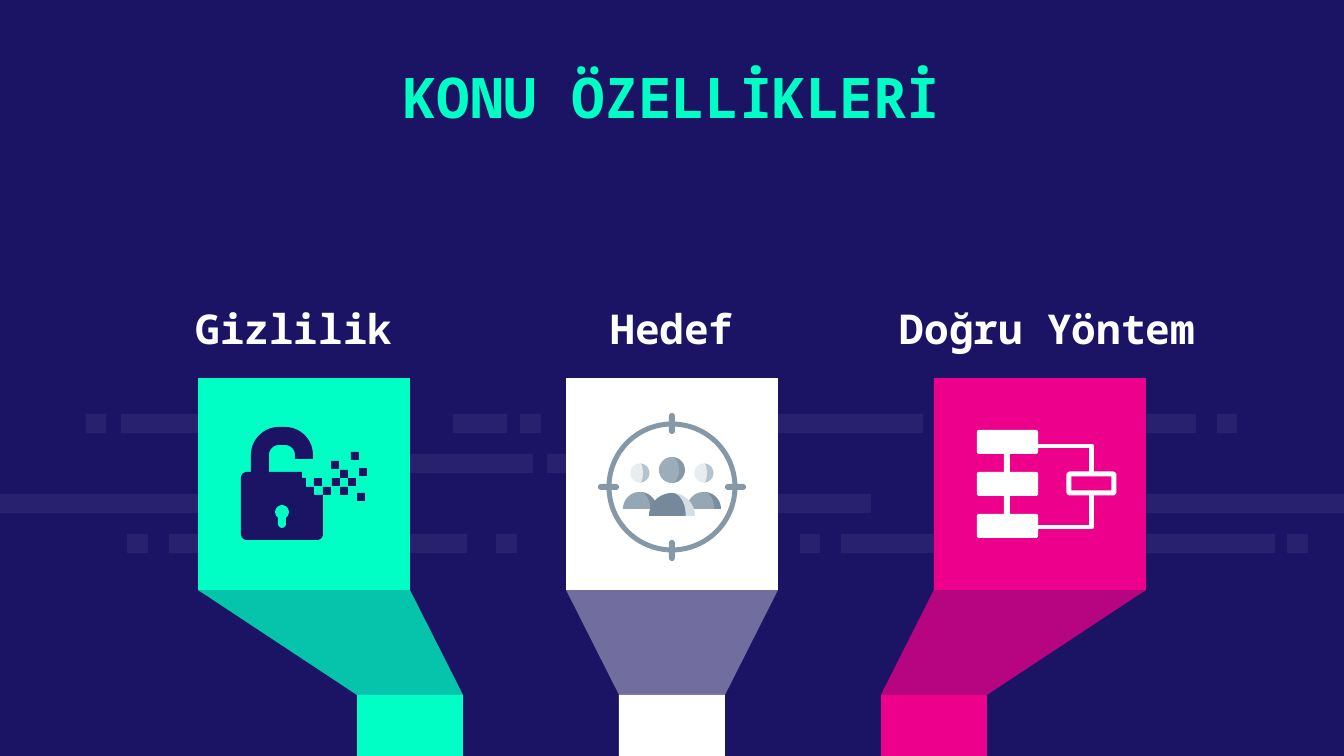
from math import cos, radians, sin

from lxml import etree
from pptx import Presentation
from pptx.dml.color import RGBColor
from pptx.enum.shapes import MSO_SHAPE
from pptx.enum.text import MSO_ANCHOR, PP_ALIGN
from pptx.oxml.ns import qn
from pptx.util import Pt

RECT, OVAL, ROUNDED = MSO_SHAPE.RECTANGLE, MSO_SHAPE.OVAL, MSO_SHAPE.ROUNDED_RECTANGLE
TOP, BOTTOM = MSO_ANCHOR.TOP, MSO_ANCHOR.BOTTOM
CENTER = PP_ALIGN.CENTER

EMU_PER_PX = 914400 / 134.4
FONT = "Noto Sans Mono"
NAVY, MINT, WHITE, PINK = "1B1464", "00FFC5", "FFFFFF", "EC008C"
STEEL = "8598A8"

# Top of each background lane, with the (left, right) ends of its dashes
LANES = {
    414: [(86, 106), (121, 317), (453, 507), (520, 541), (754, 923), (1027, 1196), (1217, 1237)],
    454: [(402, 533), (547, 601)],
    494: [(0, 199), (672, 871), (1145, 1344)],
    534: [(127, 148), (169, 467), (496, 517), (800, 820), (841, 1275), (1287, 1308)],
}
LANE_HEIGHT = 19

# Label, its left and width, column colour
COLUMNS = [
    ("Gizlilik", 142, 304, MINT),
    ("Hedef", 520, 304, WHITE),
    ("Doğru Yöntem", 874, 347, PINK),
]
CARD_LEFT, CARD_STEP, CARD_TOP, CARD_SIZE = 198, 368, 378, 212
FOOT_LEFT, FOOT_STEP, FOOT_TOP, FOOT_WIDTH = 357, 262, 695, 106
PAGE_WIDTH, PAGE_HEIGHT = 1344, 756

LOCK_PIXELS = [
    (323, 487), (332, 478), (340, 470), (331, 461), (314, 478),
    (340, 487), (357, 493), (348, 478), (359, 468), (351, 452),
]


def emu(px):
    return round(px * EMU_PER_PX)


def color(value):
    return RGBColor.from_string(value)


def paint(shape, fill=None, alpha=None, line=None, line_width=5):
    """Set fill (alpha in percent) and outline; None leaves either one out."""
    shape.shadow.inherit = False
    if fill:
        shape.fill.solid()
        shape.fill.fore_color.rgb = color(fill)
        if alpha:
            tint = shape.element.find(".//" + qn("a:srgbClr"))
            etree.SubElement(tint, qn("a:alpha"), val=str(alpha * 1000))
    else:
        shape.fill.background()
    if line:
        shape.line.color.rgb = color(line)
        shape.line.width = emu(line_width)
    else:
        shape.line.fill.background()


def add_preset(page, kind, left, top, width, height, radius=0, **style):
    shape = page.shapes.add_shape(kind, emu(left), emu(top), emu(width), emu(height))
    if kind == ROUNDED:
        shape.adjustments[0] = radius / min(width, height)
    paint(shape, **style)


def add_outline(page, points, closed=True, **style):
    start, *rest = [(emu(x), emu(y)) for x, y in points]
    builder = page.shapes.build_freeform(*start)
    builder.add_line_segments(rest, close=closed)
    paint(builder.convert_to_shape(), **style)


def arc(x, y, radius_x, radius_y, start, end, steps=16):
    """Points on an ellipse; degrees run clockwise from the right."""
    angles = [radians(start + (end - start) * i / steps) for i in range(steps + 1)]
    return [(x + radius_x * cos(a), y + radius_y * sin(a)) for a in angles]


def add_label(page, text, left, top, width, height, size, ink, anchor):
    box = page.shapes.add_textbox(emu(left), emu(top), emu(width), emu(height))
    frame = box.text_frame
    frame.text = text
    frame.word_wrap = True
    frame.vertical_anchor = anchor
    frame.margin_left = frame.margin_right = frame.margin_top = emu(13)
    frame.margin_bottom = 0 if anchor == BOTTOM else emu(13)
    para = frame.paragraphs[0]
    para.alignment = CENTER
    font = para.runs[0].font
    font.name, font.size, font.bold = FONT, Pt(size), True
    font.color.rgb = color(ink)


def add_lanes(page):
    for top, dashes in LANES.items():
        for left, right in dashes:
            add_preset(page, RECT, left, top, right - left, LANE_HEIGHT, fill=WHITE, alpha=6)


def add_column(page, index, fill):
    """Draw a card, the funnel below it and the foot at the page edge."""
    card = CARD_LEFT + index * CARD_STEP
    foot = FOOT_LEFT + index * FOOT_STEP
    card_bottom = CARD_TOP + CARD_SIZE
    funnel = [(card, card_bottom), (card + CARD_SIZE, card_bottom),
              (foot + FOOT_WIDTH, FOOT_TOP), (foot, FOOT_TOP)]
    if fill == WHITE:
        add_outline(page, funnel, fill=fill, alpha=38)
    else:
        add_outline(page, funnel, fill=fill)
        add_outline(page, funnel, fill=NAVY, alpha=25)
    add_preset(page, RECT, foot, FOOT_TOP, FOOT_WIDTH, PAGE_HEIGHT - FOOT_TOP, fill=fill)
    add_preset(page, RECT, card, CARD_TOP, CARD_SIZE, CARD_SIZE, fill=fill)


def add_lock(page):
    shackle = [
        (251, 472), *arc(279, 455, 28, 28, 180, 270), *arc(285, 455, 28, 28, 270, 360),
        (313, 459), (295, 459), *arc(285, 455, 10, 10, 0, -90),
        *arc(279, 455, 10, 10, 270, 180), (269, 472),
    ]
    broken_edge = [(302, 472), (302, 478), (306, 478), (306, 487),
                   (314, 487), (314, 495), (323, 495)]
    base = [*arc(317, 534, 6, 6, 0, 90), *arc(247, 534, 6, 6, 90, 180),
            *arc(247, 478, 6, 6, 180, 270)]
    add_outline(page, shackle + broken_edge + base, fill=NAVY)
    add_preset(page, OVAL, 275, 505, 14, 14, fill=MINT)
    add_preset(page, ROUNDED, 278, 513, 8, 15, radius=4, fill=MINT)
    for left, top in LOCK_PIXELS:
        add_preset(page, RECT, left, top, 8, 8, fill=NAVY)


def add_person(page, x, head_y, head, waist, body, bulge, tints):
    """Draw a two-tone bust; head and body are radii, bulge shapes the lit face."""
    lit_body, shaded_body, lit_head, shaded_head = tints
    inner = 0.6 * body
    add_outline(page, [*arc(x, waist, body, body, -90, 0), (x + inner, waist)], fill=shaded_body)
    add_outline(page, arc(x, waist, body, body, 180, 270)
                + arc(x, waist, inner, body, -90, 0), fill=lit_body)
    add_outline(page, arc(x, head_y, head, head, -90, 90), fill=shaded_head)
    add_outline(page, arc(x, head_y, head, head, 90, 270)
                + arc(x, head_y, bulge, head, -90, 90), fill=lit_head)


def add_target(page):
    for x in (704, 640):
        add_person(page, x, 473, 9.5, 509, 17, 3, ("95A6B4", "788D9F", "E7ECF0", "B4C3CF"))
    add_person(page, 672, 470, 13, 516, 23, 7, ("748A9C", "D5DEE4", "9DACB9", STEEL))
    add_preset(page, OVAL, 609, 424, 126, 126, line=STEEL)
    for offset in (0, 127):
        add_preset(page, ROUNDED, 669, 413 + offset, 6, 21, radius=3, fill=STEEL)
        add_preset(page, ROUNDED, 598 + offset, 484, 21, 6, radius=3, fill=STEEL)


def add_flowchart(page):
    loop = [(1036, 446), (1092, 446), (1092, 527), (1036, 527)]
    add_outline(page, loop, closed=False, line=WHITE)
    add_preset(page, RECT, 1004, 440, 6, 84, fill=WHITE)
    for row in range(3):
        add_preset(page, ROUNDED, 977, 430 + 42 * row, 61, 24, radius=2, fill=WHITE)
    add_preset(page, ROUNDED, 1069, 474, 45, 19, radius=1, fill=PINK, line=WHITE)


def main():
    deck = Presentation()
    deck.slide_width, deck.slide_height = emu(PAGE_WIDTH), emu(PAGE_HEIGHT)
    page = deck.slides.add_slide(deck.slide_layouts[6])
    page.background.fill.solid()
    page.background.fill.fore_color.rgb = color(NAVY)

    add_lanes(page)
    add_label(page, "KONU ÖZELLİKLERİ", 188, 50, 968, 98, 30, MINT, TOP)
    for index, (text, left, width, fill) in enumerate(COLUMNS):
        add_column(page, index, fill)
        add_label(page, text, left, 290, width, 63, 22, WHITE, BOTTOM)
    add_lock(page)
    add_flowchart(page)
    add_target(page)
    deck.save("out.pptx")


if __name__ == "__main__":
    main()
